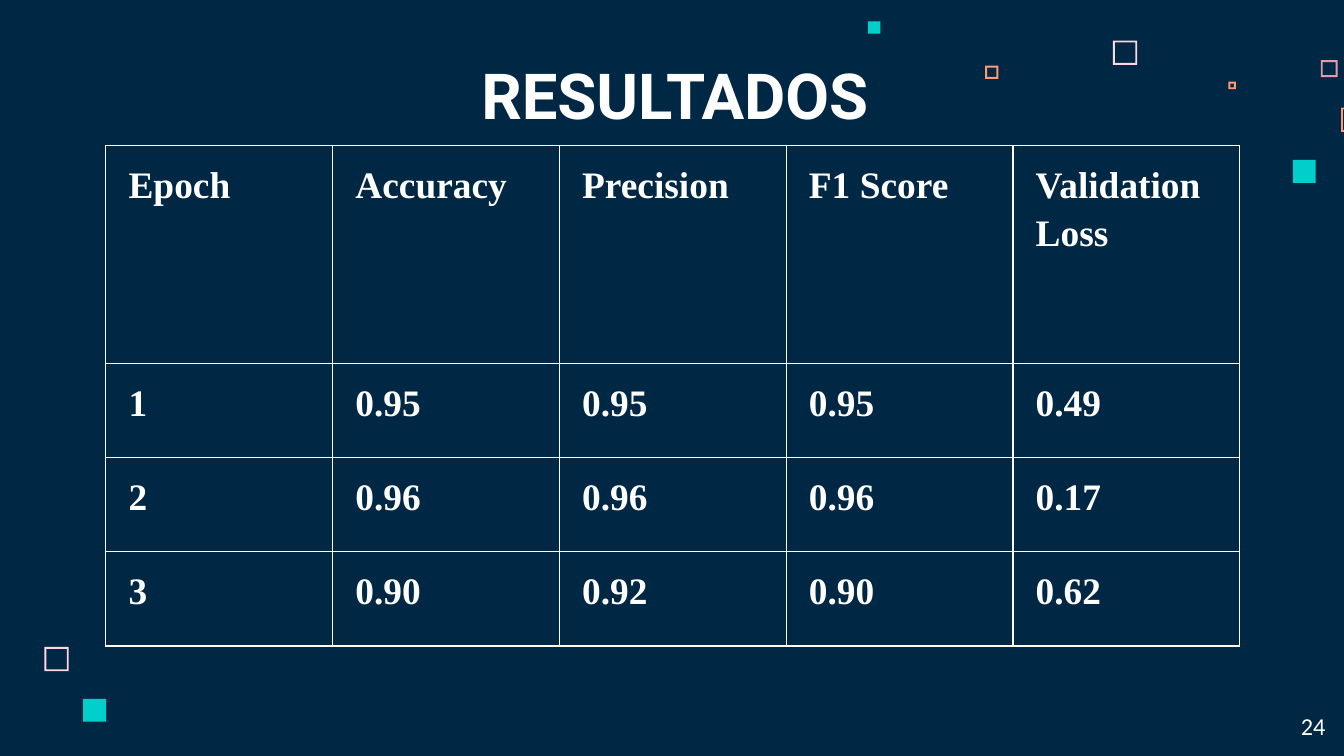
from lxml import etree
from pptx import Presentation
from pptx.dml.color import RGBColor
from pptx.enum.shapes import MSO_SHAPE
from pptx.enum.text import MSO_ANCHOR, PP_ALIGN
from pptx.oxml.ns import qn
from pptx.util import Pt

RECTANGLE = MSO_SHAPE.RECTANGLE
TOP, BOTTOM = MSO_ANCHOR.TOP, MSO_ANCHOR.BOTTOM
LEFT, CENTER, RIGHT = PP_ALIGN.LEFT, PP_ALIGN.CENTER, PP_ALIGN.RIGHT

# Content
TITLE = "RESULTADOS"
PAGE_NUMBER = "24"
RESULTS = [
    ("Epoch", "Accuracy", "Precision", "F1 Score", "Validation Loss"),
    ("1", "0.95", "0.95", "0.95", "0.49"),
    ("2", "0.96", "0.96", "0.96", "0.17"),
    ("3", "0.90", "0.92", "0.90", "0.62"),
]

THEME = {
    "navy": "002845", "white": "FFFFFF", "teal": "00CFCC",
    "blush": "FFD6E1", "rose": "E898AC", "orange": "FF9973",
    "title": ("Roboto", 34, True),
    "cell": ("Times New Roman", 20, True),
    "number": ("Calibri", 13, False),
}

# Decoration: left, top, side, colour
SOLID_SQUARES = [
    (692.6, 85.7, 12.3, "teal"),
    (465.1, 11.5, 6.5, "teal"),
    (44.6, 374.4, 12.3, "teal"),
]
HOLLOW_SQUARES = [
    (596.2, 21.7, 13.2, "blush"),
    (707.6, 32.3, 8.6, "rose"),
    (658.1, 43.8, 4.2, "orange"),
    (718.4, 57.6, 13, "orange"),
    (527.8, 35.2, 7.2, "orange"),
    (23.8, 346.6, 13.2, "blush"),
]
FRAME_WIDTH = 0.9

# Table geometry
TABLE_LEFT, TABLE_TOP = 56.7, 78
COLUMN_WIDTH = 121.5
ROW_HEIGHTS = [116.6, 50.5, 50.5, 50.5]
INSET, CELL_INDENT, BORDER = 7.2, 5, 0.75


def colour(name):
    return RGBColor.from_string(THEME[name])


def paint(shape, name):
    shape.shadow.inherit = False
    shape.fill.solid()
    shape.fill.fore_color.rgb = colour(name)
    shape.line.fill.background()


def set_text(frame, text, style, align):
    frame.text = text
    para = frame.paragraphs[0]
    para.alignment = align
    font = para.runs[0].font
    font.name, size, font.bold = THEME[style]
    font.size = Pt(size)
    font.color.rgb = colour("white")
    return para


def add_label(page, bounds, text, style, align, anchor):
    frame = page.shapes.add_textbox(*map(Pt, bounds)).text_frame
    frame.word_wrap = True
    frame.vertical_anchor = anchor
    frame.margin_left = frame.margin_right = Pt(INSET)
    frame.margin_top = frame.margin_bottom = Pt(INSET)
    set_text(frame, text, style, align)


def add_hollow_square(page, left, top, side, name):
    near, far = FRAME_WIDTH, side - FRAME_WIDTH
    outer = [(0, 0), (0, side), (side, side), (side, 0)]
    inner = [(far, near), (far, far), (near, far), (near, near)]
    builder = page.shapes.build_freeform(*outer[0], scale=Pt(1))
    builder.add_line_segments(outer[1:], close=True)
    builder.move_to(*inner[0])
    builder.add_line_segments(inner[1:], close=True)
    paint(builder.convert_to_shape(Pt(left), Pt(top)), name)


def add_borders(cell):
    properties = cell._tc.get_or_add_tcPr()
    for position, side in enumerate(("lnL", "lnR", "lnT", "lnB")):
        line = etree.Element(qn("a:" + side), w=str(Pt(BORDER)))
        fill = etree.SubElement(line, qn("a:solidFill"))
        etree.SubElement(fill, qn("a:srgbClr"), val=THEME["white"])
        properties.insert(position, line)


def add_results(page):
    table = page.shapes.add_table(
        len(RESULTS), len(RESULTS[0]), Pt(TABLE_LEFT), Pt(TABLE_TOP),
        Pt(COLUMN_WIDTH * len(RESULTS[0])), Pt(sum(ROW_HEIGHTS))).table
    table.first_row = table.horz_banding = False
    for column in table.columns:
        column.width = Pt(COLUMN_WIDTH)
    for row, height, values in zip(table.rows, ROW_HEIGHTS, RESULTS):
        row.height = Pt(height)
        for cell, value in zip(row.cells, values):
            cell.fill.background()
            cell.vertical_anchor = TOP
            cell.margin_left = cell.margin_right = Pt(INSET)
            cell.margin_top = cell.margin_bottom = Pt(INSET)
            para = set_text(cell.text_frame, value, "cell", LEFT)
            para.line_spacing = 1.15
            para._p.get_or_add_pPr().set("marL", str(Pt(CELL_INDENT)))
            add_borders(cell)


def main():
    deck = Presentation()
    deck.slide_width, deck.slide_height = Pt(720), Pt(405)
    page = deck.slides.add_slide(deck.slide_layouts[6])
    page.background.fill.solid()
    page.background.fill.fore_color.rgb = colour("navy")

    # Scattered squares
    for square in HOLLOW_SQUARES:
        add_hollow_square(page, *square)
    for left, top, side, name in SOLID_SQUARES:
        bounds = map(Pt, (left, top, side, side))
        paint(page.shapes.add_shape(RECTANGLE, *bounds), name)

    # Title, page number and table
    add_label(page, (49, 32.4, 625, 45.4), TITLE, "title", CENTER, BOTTOM)
    add_label(page, (673.9, 374, 43.2, 31), PAGE_NUMBER, "number", RIGHT, TOP)
    add_results(page)
    deck.save("out.pptx")


if __name__ == "__main__":
    main()
